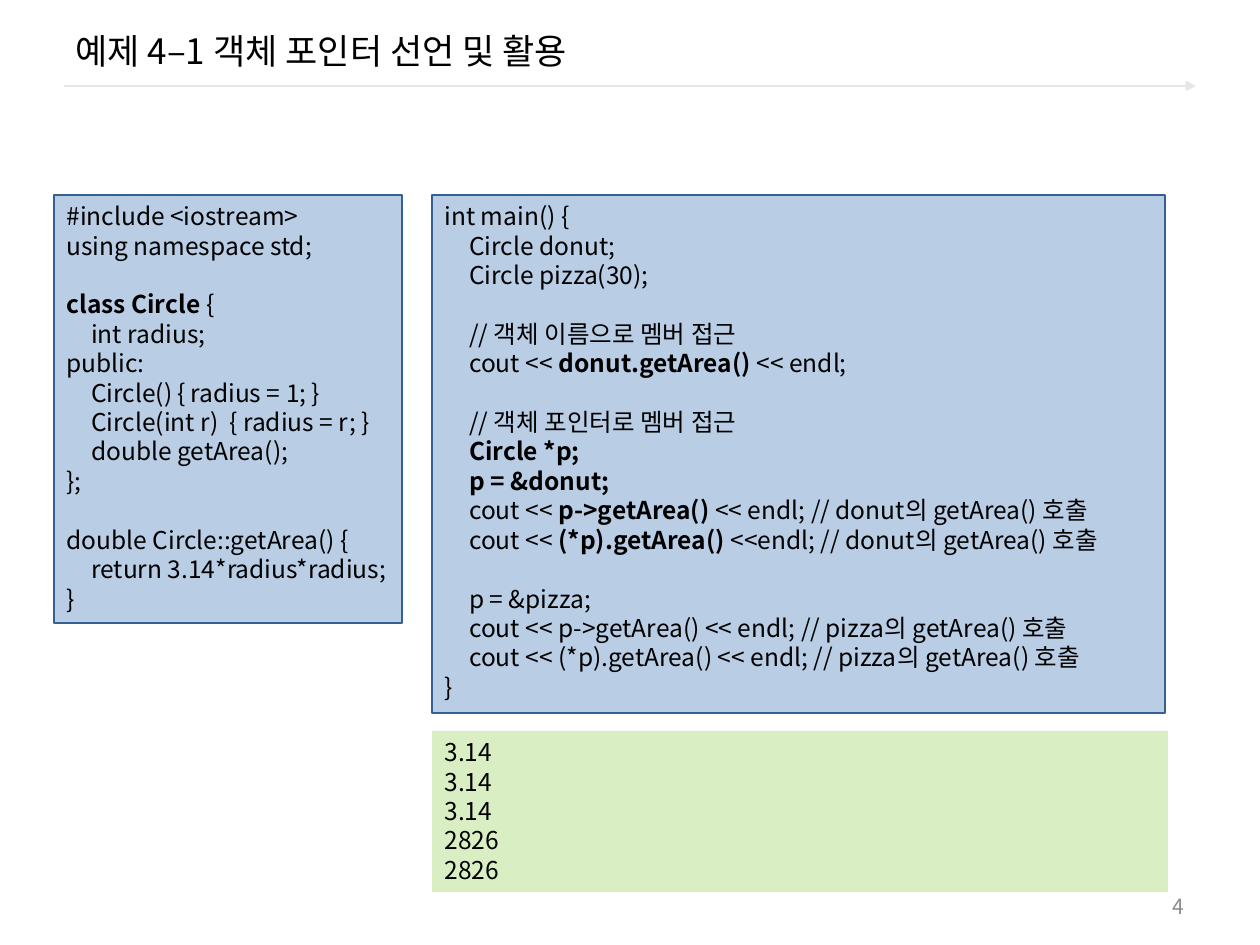
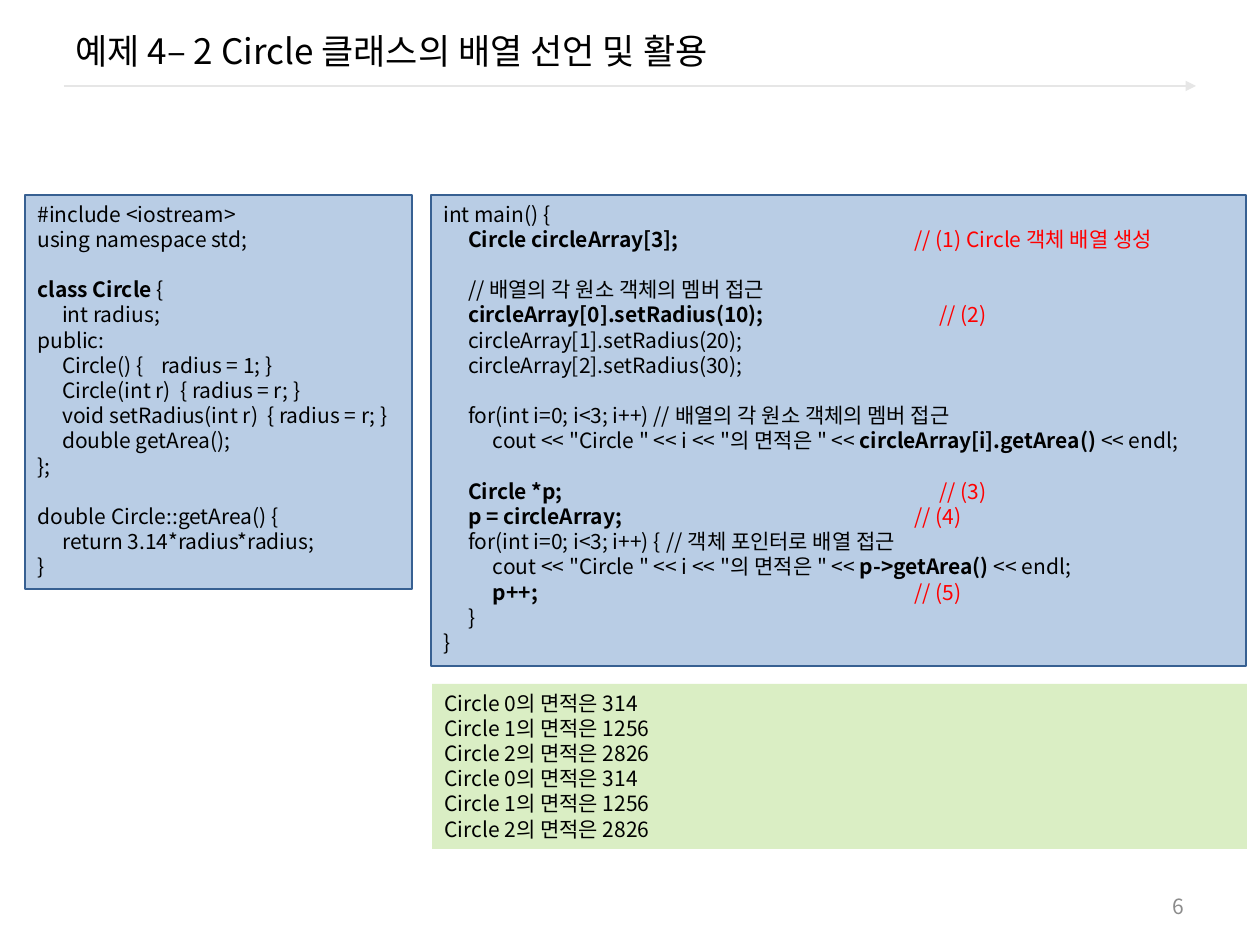
import pptx
import pptx.dml.color
import pptx.enum.shapes
import pptx.enum.text
import pptx.oxml.ns
import pptx.util
from dataclasses import dataclass
from lxml import etree


@dataclass(frozen=True)
class Theme:
    font: str = "Noto Sans CJK KR"
    ink: str = "000000"
    note: str = "FF0000"
    number: str = "8C8C8C"
    rule: str = "E6E6E6"
    code_fill: str = "B9CDE5"
    code_line: str = "376092"
    output_fill: str = "DAEEC4"
    title_size: int = 20
    number_size: int = 12
    leading: float = 1.2


THEME = Theme()
EMU_PER_PX = 914400 / 126
TAB = pptx.util.Mm(5)
PAGE_SIZE = (1260, 945)
TITLE_BOX = (63, 10, 1134, 81)
NUMBER_BOX = (903, 886, 294, 40)
RULE = (64, 86, 1196, 86)


# Content: **bold** marks strong code, an empty line is a gap,
# and a tuple is (code, margin note, tab column of the note).
def circle_class(*setters):
    return [
        "#include <iostream>",
        "using namespace std;",
        "",
        "**class Circle **{",
        "\tint radius;",
        "public:",
        "\tCircle() {\tradius = 1; }",
        "\tCircle(int r)  { radius = r; }",
        *setters,
        "\tdouble getArea();",
        "};",
        "",
        "double Circle::getArea() {",
        "\treturn 3.14*radius*radius;",
        "}",
    ]


POINTER_MAIN = [
    "int main() {",
    "\tCircle donut;",
    "\tCircle pizza(30);",
    "",
    "\t// 객체 이름으로 멤버 접근",
    "\tcout << **donut.getArea() **<< endl;",
    "",
    "\t// 객체 포인터로 멤버 접근",
    "\t**Circle *p;**",
    "\t**p = &donut;**",
    "\tcout << **p->getArea() **<< endl; // donut의 getArea() 호출",
    "\tcout << **(*p).getArea() **<<endl; // donut의 getArea() 호출",
    "",
    "\tp = &pizza;",
    "\tcout << p->getArea() << endl; // pizza의 getArea() 호출",
    "\tcout << (*p).getArea() << endl; // pizza의 getArea() 호출",
    "}",
]

ARRAY_MAIN = [
    "int main() {",
    ("\t**Circle circleArray[3];** ", "// (1) Circle 객체 배열 생성", 19),
    "",
    "\t// 배열의 각 원소 객체의 멤버 접근",
    ("\t**circleArray[0].setRadius(10);** ", "// (2)", 20),
    "\tcircleArray[1].setRadius(20);",
    "\tcircleArray[2].setRadius(30);",
    "",
    "\tfor(int i=0; i<3; i++) // 배열의 각 원소 객체의 멤버 접근",
    '\t\tcout << "Circle " << i << "의 면적은 " << **circleArray[i].getArea() **<< endl;',
    "",
    ("\t**Circle *p;** ", "// (3)", 20),
    ("\t**p = circleArray;** ", "// (4)", 19),
    "\tfor(int i=0; i<3; i++) { \t// 객체 포인터로 배열 접근",
    '\t\tcout << "Circle " << i << "의 면적은 " << **p->getArea() **<< endl;',
    ("\t\t**p++;** ", "// (5)", 19),
    "\t}",
    "}",
]

AREAS = [f"Circle {index}의 면적은 {area}" for index, area in enumerate((314, 1256, 2826))]

PAGES = [
    {
        "title": "예제 4–1 객체 포인터 선언 및 활용",
        "number": "4",
        "size": 14,
        "code": [
            ((432, 195, 733, 518), POINTER_MAIN),
            ((54, 195, 348, 428), circle_class()),
        ],
        "output": ((432, 731, 736, 161), ["3.14"] * 3 + ["2826"] * 2),
    },
    {
        "title": "예제 4– 2 Circle 클래스의 배열 선언 및 활용",
        "number": "6",
        "size": 12,
        "code": [
            ((25, 195, 387, 394), circle_class("\tvoid setRadius(int r)  { radius = r; }")),
            ((431, 195, 815, 471), ARRAY_MAIN),
        ],
        "output": ((432, 684, 815, 165), AREAS * 2),
    },
]


# Helpers
def scaled(lengths):
    return [round(length * EMU_PER_PX) for length in lengths]


def rgb(color):
    return pptx.dml.color.RGBColor.from_string(color)


def add_span(para, text, *, size, color=THEME.ink, bold=False):
    span = para.add_run()
    span.text = text
    span.font.size = pptx.util.Pt(size)
    span.font.bold = bold
    span.font.name = THEME.font
    span.font.color.rgb = rgb(color)
    east_asian = etree.SubElement(span.font._element, pptx.oxml.ns.qn("a:ea"))
    east_asian.set("typeface", THEME.font)


def add_label(page, place, text, *, align=pptx.enum.text.PP_ALIGN.LEFT, **style):
    frame = page.shapes.add_textbox(*scaled(place)).text_frame
    frame.word_wrap = True
    frame.vertical_anchor = pptx.enum.text.MSO_ANCHOR.MIDDLE
    para = frame.paragraphs[0]
    para.alignment = align
    add_span(para, text, **style)


def set_tabs(para, columns):
    stops = etree.SubElement(para._p.get_or_add_pPr(), pptx.oxml.ns.qn("a:tabLst"))
    for column in columns:
        etree.SubElement(stops, pptx.oxml.ns.qn("a:tab"), pos=str(int(column * TAB)), algn="l")


def add_line(para, line, size):
    code, note, column = line if isinstance(line, tuple) else (line, "", None)
    set_tabs(para, (1, 2, column) if note else range(1, 11))
    for index, piece in enumerate(code.split("**")):
        if piece:
            add_span(para, piece, size=size, bold=index % 2 == 1)
    if note:
        add_span(para, "\t" + note, size=size, color=THEME.note)


def add_panel(page, place, lines, *, size, fill, outline=None):
    panel = page.shapes.add_shape(pptx.enum.shapes.MSO_SHAPE.RECTANGLE, *scaled(place))
    panel.shadow.inherit = False
    panel.fill.solid()
    panel.fill.fore_color.rgb = rgb(fill)
    if outline:
        panel.line.color.rgb = rgb(outline)
        panel.line.width = pptx.util.Pt(0.75)
    else:
        panel.line.fill.background()

    frame = panel.text_frame
    frame.word_wrap = True
    frame.margin_right = 0
    frame.vertical_anchor = pptx.enum.text.MSO_ANCHOR.TOP
    pitch = pptx.util.Pt(round(size * THEME.leading, 1))
    para = frame.paragraphs[0]
    gap = False
    for index, line in enumerate(lines):
        if not line:
            gap = True
            continue
        if index:
            para = frame.add_paragraph()
        para.alignment = pptx.enum.text.PP_ALIGN.LEFT
        para.line_spacing = pitch
        if gap:
            para.space_before = pitch
            gap = False
        add_line(para, line, size)


def add_rule(page):
    rule = page.shapes.add_connector(pptx.enum.shapes.MSO_CONNECTOR.STRAIGHT, *scaled(RULE))
    rule.line.color.rgb = rgb(THEME.rule)
    rule.line.width = pptx.util.Pt(1.5)
    etree.SubElement(rule.line._get_or_add_ln(), pptx.oxml.ns.qn("a:tailEnd"), type="triangle")
    etree.SubElement(rule._element.spPr, pptx.oxml.ns.qn("a:effectLst"))


def add_page(deck, content):
    page = deck.slides.add_slide(deck.slide_layouts[6])

    # Shared frame: rule, title, page number
    add_rule(page)
    add_label(page, TITLE_BOX, content["title"], size=THEME.title_size)
    add_label(page, NUMBER_BOX, content["number"], size=THEME.number_size,
              color=THEME.number, align=pptx.enum.text.PP_ALIGN.RIGHT)

    # Code panels and program output
    for place, lines in content["code"]:
        add_panel(page, place, lines, size=content["size"],
                  fill=THEME.code_fill, outline=THEME.code_line)
    place, lines = content["output"]
    add_panel(page, place, lines, size=content["size"], fill=THEME.output_fill)


def main():
    deck = pptx.Presentation()
    deck.slide_width, deck.slide_height = scaled(PAGE_SIZE)
    for content in PAGES:
        add_page(deck, content)
    deck.save("out.pptx")


if __name__ == "__main__":
    main()
